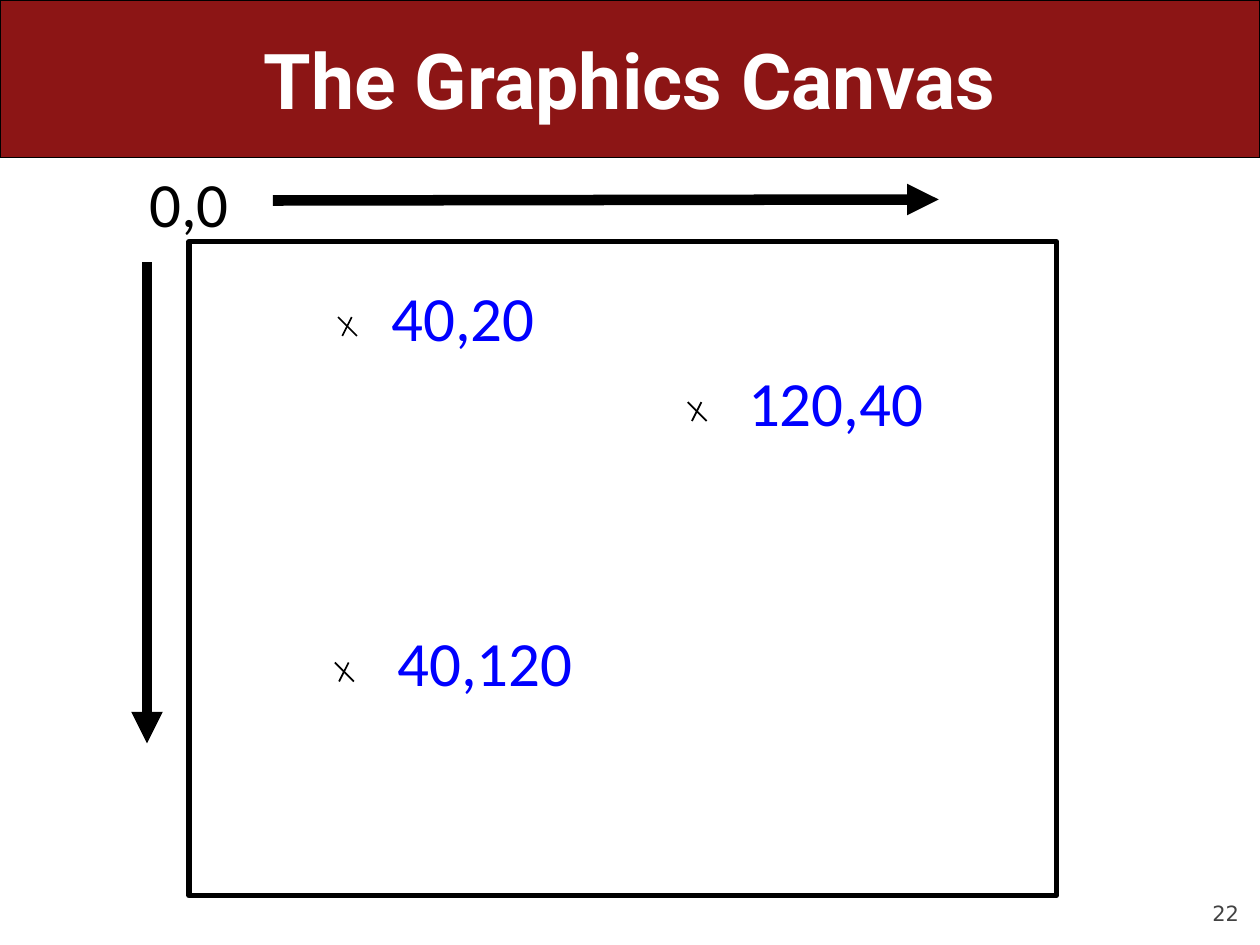
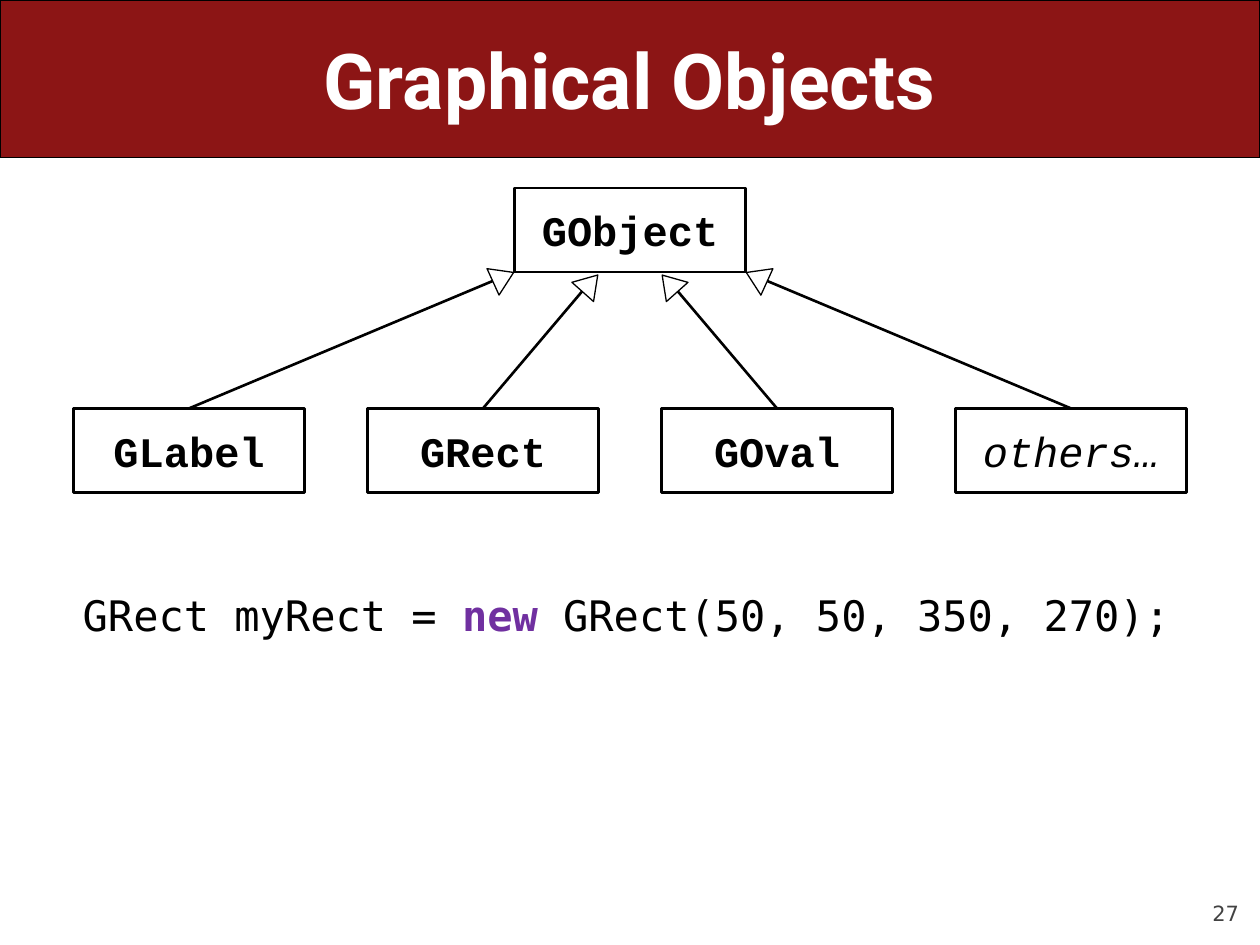
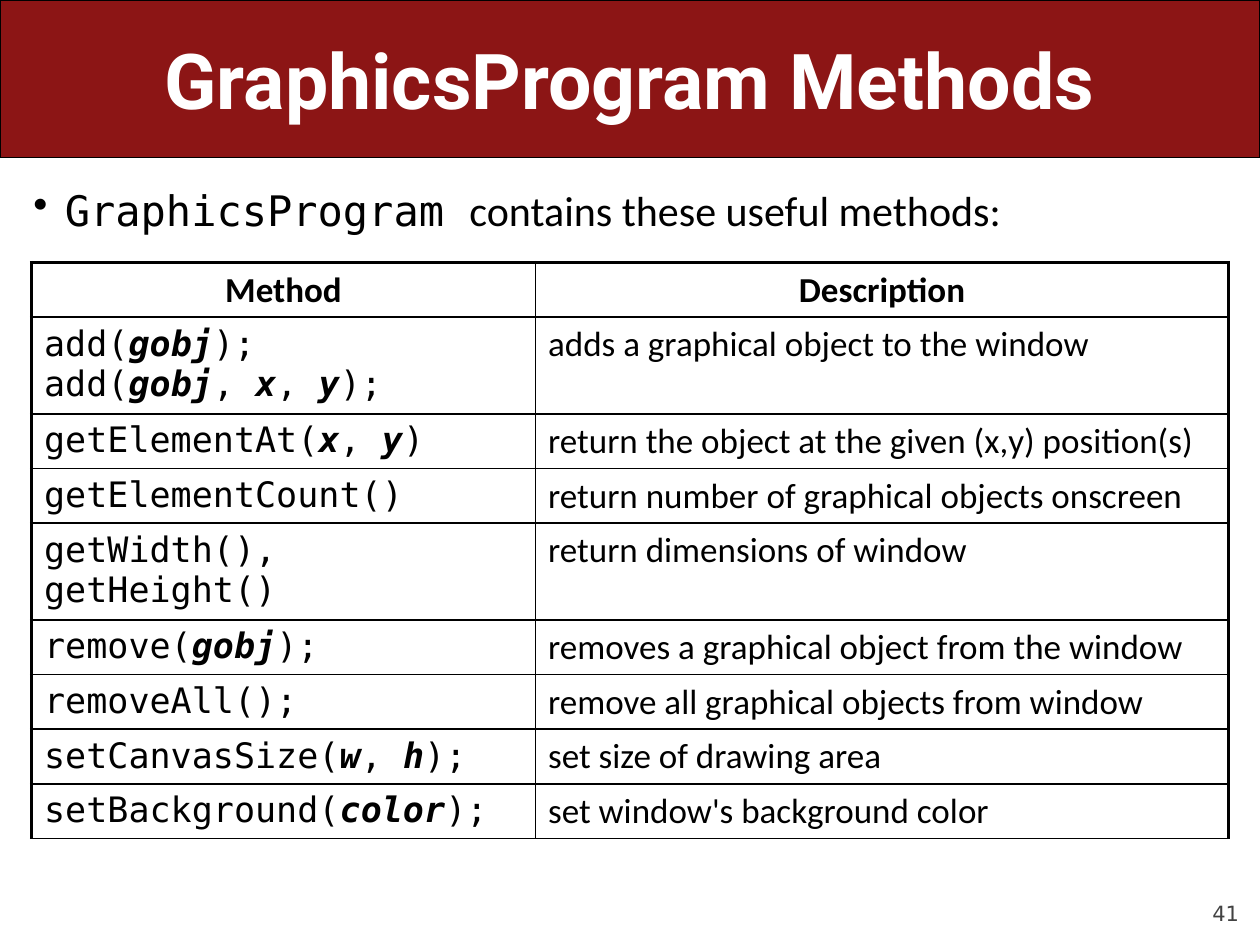
from lxml.etree import SubElement
from pptx import Presentation
from pptx.dml.color import RGBColor
from pptx.enum.shapes import MSO_CONNECTOR as Connector, MSO_SHAPE as Shape
from pptx.enum.text import MSO_ANCHOR as Anchor, MSO_AUTO_SIZE as AutoSize, PP_ALIGN as Align
from pptx.oxml.ns import qn
from pptx.util import Inches, Pt

COLORS = {"band": "8C1515", "ink": "000000", "paper": "FFFFFF", "point": "0000FF",
          "keyword": "7030A0", "number": "424242"}
FONTS = {"title": "Roboto", "body": "Calibri", "code": "DejaVu Sans Mono",
         "diagram": "Courier New", "number": "DejaVu Sans"}
COLUMNS, ROWS = 120, 90
TITLE_ONLY = 5

METHODS = [
    ("add(*gobj*);\nadd(*gobj*, *x*, *y*);", "adds a graphical object to the window"),
    ("getElementAt(*x*, *y*)", "return the object at the given (x,y) position(s)"),
    ("getElementCount()", "return number of graphical objects onscreen"),
    ("getWidth(), getHeight()", "return dimensions of window"),
    ("remove(*gobj*);", "removes a graphical object from the window"),
    ("removeAll();", "remove all graphical objects from window"),
    ("setCanvasSize(*w*, *h*);", "set size of drawing area"),
    ("setBackground(*color*);", "set window's background color"),
]


def rgb(name):
    """Return the named palette colour."""
    return RGBColor.from_string(COLORS[name])


def emphasized(text):
    """Split text into runs, with the parts between asterisks bold and italic."""
    return [(part, {"bold": True, "italic": True} if index % 2 else {})
            for index, part in enumerate(text.split("*")) if part]


class Deck:
    """Draw styled elements on the current slide, on a 120 by 90 grid."""

    def __init__(self):
        """Start an empty presentation of 10 by 7.5 inches."""
        self.presentation = Presentation()
        self.presentation.slide_width = Inches(10)
        self.presentation.slide_height = Inches(7.5)
        self.slide = None

    def x(self, columns):
        """Convert grid columns to a length."""
        return round(self.presentation.slide_width * columns / COLUMNS)

    def y(self, rows):
        """Convert grid rows to a length."""
        return round(self.presentation.slide_height * rows / ROWS)

    def place(self, left, top, width, height):
        """Convert a grid rectangle to lengths."""
        return self.x(left), self.y(top), self.x(width), self.y(height)

    def fill_frame(self, frame, runs, font="body", size=24, color="ink", align=Align.LEFT,
                   anchor=Anchor.TOP, wrap=True, bullet=False, **style):
        """Fill a text frame with one paragraph of runs, a string being a single run."""
        frame.word_wrap = wrap
        frame.vertical_anchor = anchor
        paragraph = frame.paragraphs[0]
        paragraph.alignment = align
        if bullet:
            properties = paragraph._p.get_or_add_pPr()
            properties.set("marL", str(self.x(3)))
            properties.set("indent", str(-self.x(3)))
            SubElement(properties, qn("a:buChar"), char="•")
        base = {"font": font, "size": size, "color": color, **style}
        for text, changes in [(runs, {})] if isinstance(runs, str) else runs:
            look = {**base, **changes}
            for number, line in enumerate(text.split("\n")):
                if number:
                    paragraph.add_line_break()
                run = paragraph.add_run()
                run.text = line
                run.font.name = FONTS[look["font"]]
                run.font.size = Pt(look["size"])
                run.font.color.rgb = rgb(look["color"])
                run.font.bold = look.get("bold", False)
                run.font.italic = look.get("italic", False)

    def start(self, title, number):
        """Add a slide with its band, title and page number."""
        layout = self.presentation.slide_layouts[TITLE_ONLY]
        self.slide = self.presentation.slides.add_slide(layout)
        heading = self.slide.shapes.title
        heading.left, heading.top, heading.width, heading.height = self.place(6, 0, 108, 15)
        self.fill_frame(heading.text_frame, title, "title", 44, "paper", Align.CENTER,
                        Anchor.MIDDLE, bold=True)
        heading.text_frame.auto_size = AutoSize.NONE
        band = self.shape(0, 0, COLUMNS, 15, fill="band", weight=0.75)
        heading.element.addprevious(band.element)
        page = self.text(108, 83.4, 10, 4.8, str(number), font="number", size=12,
                         color="number", align=Align.RIGHT, anchor=Anchor.BOTTOM)
        frame = page.text_frame
        frame.margin_left = frame.margin_right = frame.margin_top = frame.margin_bottom = 0

    def text(self, left, top, width, height, runs, **style):
        """Add a text box."""
        box = self.slide.shapes.add_textbox(*self.place(left, top, width, height))
        self.fill_frame(box.text_frame, runs, **style)
        return box

    def shape(self, left, top, width, height, kind=Shape.RECTANGLE, fill=None, weight=1.5,
              rotation=0):
        """Add an outlined preset shape, hollow when it has no fill colour."""
        shape = self.slide.shapes.add_shape(kind, *self.place(left, top, width, height))
        shape.shadow.inherit = False
        if fill:
            shape.fill.solid()
            shape.fill.fore_color.rgb = rgb(fill)
        else:
            shape.fill.background()
        shape.line.color.rgb = rgb("ink")
        shape.line.width = Pt(weight)
        shape.rotation = rotation % 360
        return shape

    def box(self, left, top, label, **style):
        """Add a class box with a centred label."""
        shape = self.shape(left, top, 22, 8, fill="paper")
        self.fill_frame(shape.text_frame, label, "diagram", align=Align.CENTER,
                        anchor=Anchor.MIDDLE, wrap=False, **style)

    def line(self, start, end, weight, arrow=False):
        """Add a straight line between two grid points."""
        ends = self.x(start[0]), self.y(start[1]), self.x(end[0]), self.y(end[1])
        connector = self.slide.shapes.add_connector(Connector.STRAIGHT, *ends)
        connector.line.color.rgb = rgb("ink")
        connector.line.width = Pt(weight)
        properties = connector.element.spPr
        if arrow:
            SubElement(properties.find(qn("a:ln")), qn("a:tailEnd"), type="triangle")
        SubElement(properties, qn("a:effectLst"))

    def point(self, left, top, label_left, label):
        """Add a small cross and its coordinates."""
        self.line((left, top), (left + 1.8, top + 1.8), 1)
        self.line((left + 1.3, top), (left + 0.4, top + 1.8), 1)
        self.text(label_left, top - 4.3, 19.6, 8.5, label, size=36, color="point",
                  align=Align.CENTER)

    def table(self, left, top, widths, row_height, header, rows):
        """Add a ruled table with a code column and a text column."""
        count = len(rows) + 1
        area = self.place(left, top, sum(widths), row_height * count)
        table = self.slide.shapes.add_table(count, len(widths), *area).table
        table.horz_banding = False
        for column, width in zip(table.columns, widths):
            column.width = self.x(width)
        for row_index, row in enumerate([header, *rows]):
            for column_index, content in enumerate(row):
                cell = table.cell(row_index, column_index)
                self.rule(cell, {"L": column_index == 0, "R": column_index == len(widths) - 1,
                                 "T": row_index == 0, "B": False})
                cell.fill.background()
                if row_index == 0:
                    style = {"align": Align.CENTER, "bold": True}
                else:
                    style = {"font": "body" if column_index else "code"}
                self.fill_frame(cell.text_frame, emphasized(content), size=20, **style)

    def rule(self, cell, heavy_sides):
        """Draw the four borders of a cell, heavy where flagged."""
        properties = cell._tc.get_or_add_tcPr()
        for side, heavy in heavy_sides.items():
            border = SubElement(properties, qn(f"a:ln{side}"), w=str(Pt(2.25 if heavy else 1)))
            fill = SubElement(border, qn("a:solidFill"))
            SubElement(fill, qn("a:srgbClr"), val=COLORS["ink"])


def canvas_slide(deck):
    """Show the canvas with its axes and three points."""
    deck.start("The Graphics Canvas", 22)
    deck.shape(18, 23, 82.6, 62.3, weight=3)
    deck.text(12.4, 15.1, 11.2, 8.5, "0,0", size=36, align=Align.CENTER)
    deck.point(32.2, 30.2, 34.3, "40,20")
    deck.point(31.9, 63.1, 36.4, "40,120")
    deck.point(65.5, 38.3, 69.8, "120,40")
    deck.line((14, 25), (14, 70.8), 6, arrow=True)
    deck.line((26, 19.1), (89.4, 19), 6, arrow=True)


def objects_slide(deck):
    """Show the class tree and a constructor call."""
    deck.start("Graphical Objects", 27)
    center, child_top = COLUMNS / 2, 38.9
    deck.box(center - 11, 17.9, "GObject", bold=True)
    for index, name in enumerate(["GLabel", "GRect", "GOval", "others…"]):
        other = name == "others…"
        deck.box(7 + 28 * index, child_top, name, bold=not other, italic=other)
    head_width, head_height = 2.76, 2.16
    branches = [(42, 11.64, 26.16, 12.06, 26.4, 65.5), (14, 3.5, 26.5, 3.78, 27, 41.6)]
    for side in (-1, 1):
        for start, end, end_row, head, head_row, angle in branches:
            deck.line((center + side * start, child_top), (center + side * end, end_row), 1.5)
            deck.shape(center + side * head - head_width / 2, head_row - head_height / 2,
                       head_width, head_height, Shape.ISOSCELES_TRIANGLE, "paper", 0.75,
                       -side * angle)
    deck.text(6.7, 55.6, 106.5, 6,
              [("GRect myRect = ", {}), ("new ", {"color": "keyword", "bold": True}),
               ("GRect(50, 50, 350, 270);", {})], font="code", wrap=False)


def methods_slide(deck):
    """List the methods in a table."""
    deck.start("GraphicsProgram Methods", 41)
    deck.text(2, 17, 116, 7.5, [("GraphicsProgram ", {"font": "code"}),
                                ("contains these useful methods:", {})], bullet=True)
    deck.table(3, 25, [48, 66], 5.2, ("Method", "Description"), METHODS)


def main():
    """Build and save the slides."""
    deck = Deck()
    canvas_slide(deck)
    objects_slide(deck)
    methods_slide(deck)
    deck.presentation.save("out.pptx")


if __name__ == "__main__":
    main()
